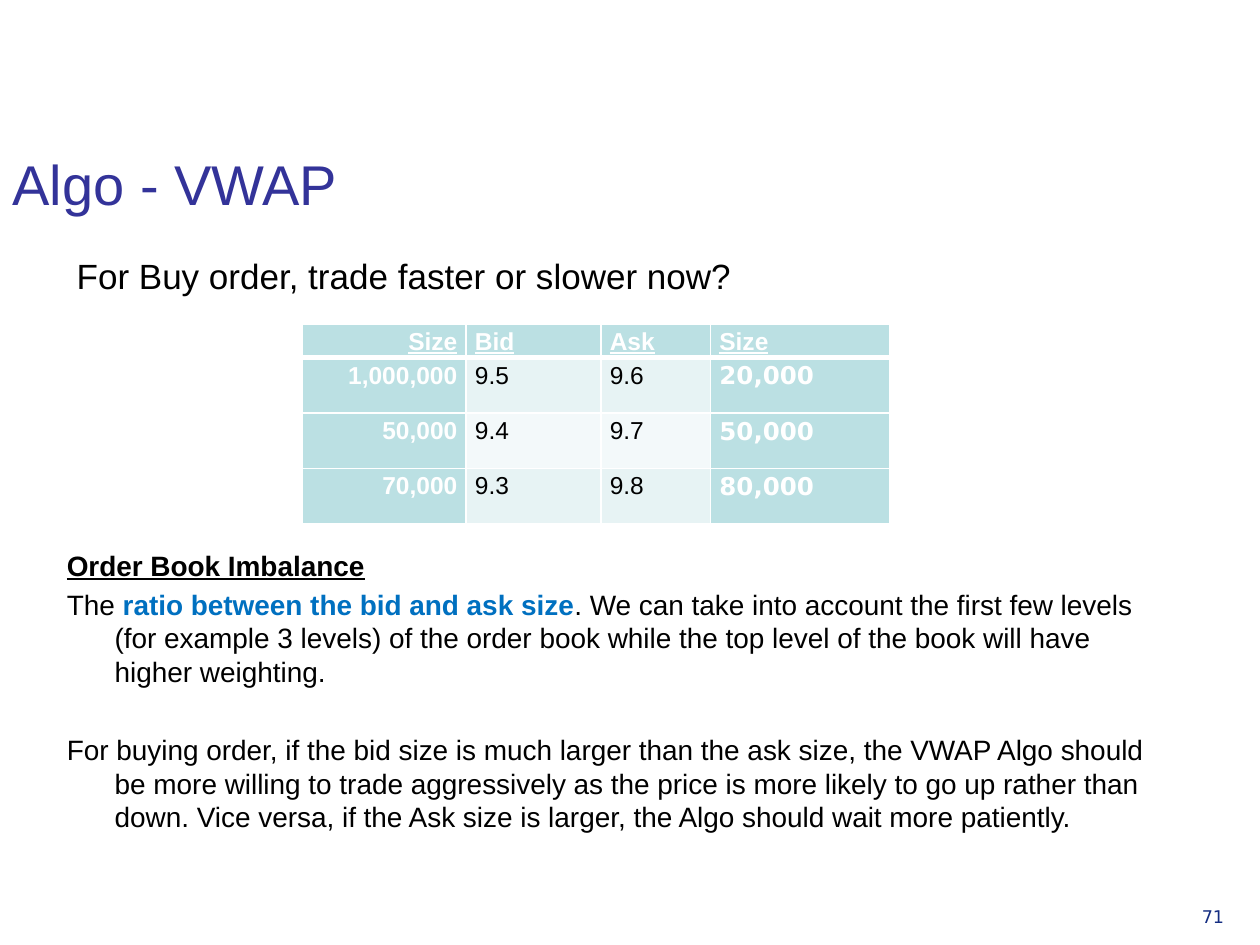
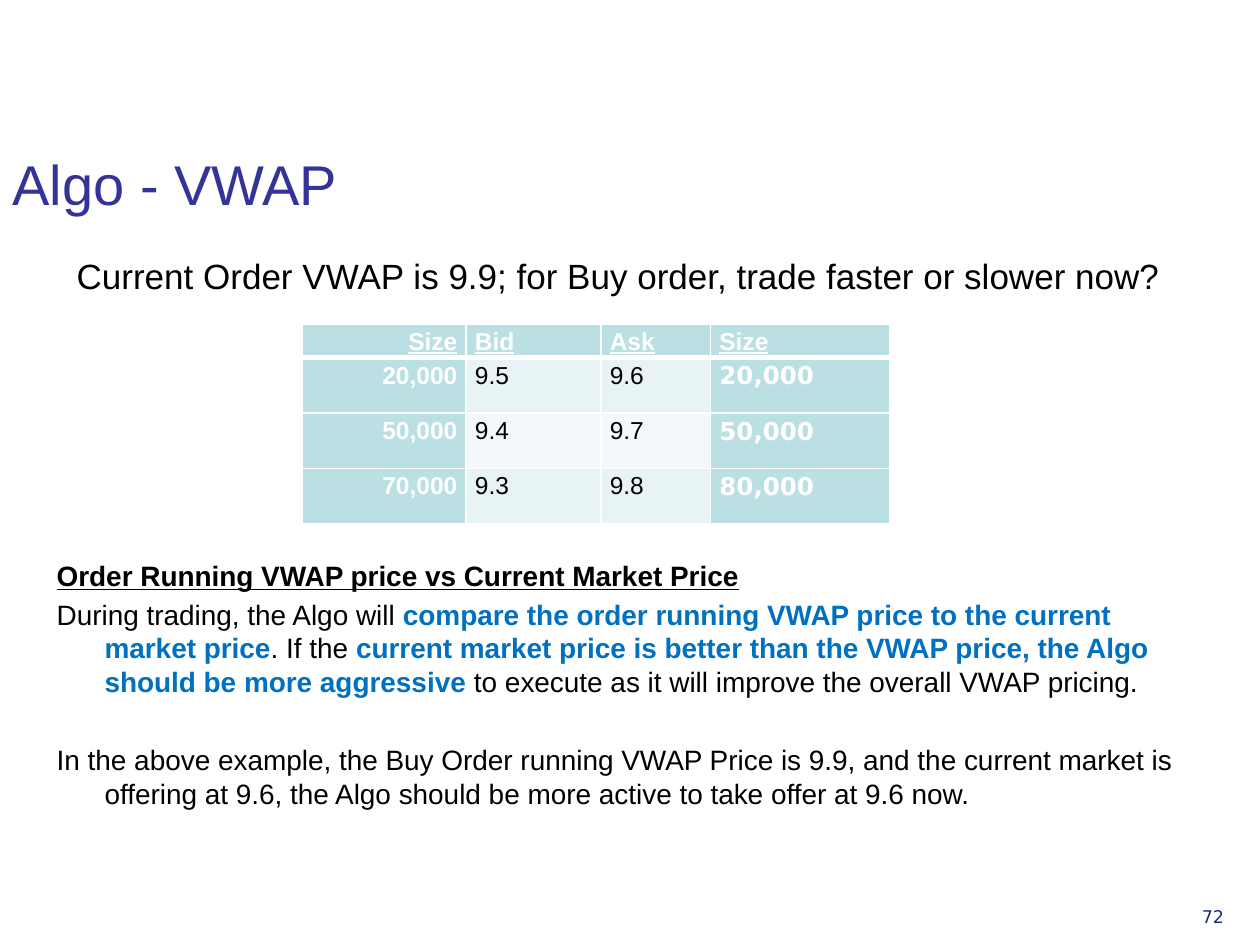
"""Build two slides on how a VWAP algo reacts to the order book."""
from lxml import etree
from pptx import Presentation
from pptx.dml.color import RGBColor
from pptx.enum.text import MSO_ANCHOR, MSO_AUTO_SIZE, PP_ALIGN
from pptx.oxml.ns import qn
from pptx.util import Inches, Pt

LEFT, RIGHT = PP_ALIGN.LEFT, PP_ALIGN.RIGHT
BOTTOM, TOP = MSO_ANCHOR.BOTTOM, MSO_ANCHOR.TOP
NO_FIT, GROW = MSO_AUTO_SIZE.NONE, MSO_AUTO_SIZE.SHAPE_TO_FIT_TEXT

BLACK = RGBColor(0x00, 0x00, 0x00)
WHITE = RGBColor(0xFF, 0xFF, 0xFF)
TITLE_BLUE = RGBColor(0x33, 0x33, 0x99)
NUMBER_BLUE = RGBColor(0x15, 0x2E, 0x82)
KEY_BLUE = RGBColor(0x00, 0x70, 0xC0)
TEAL = RGBColor(0xBB, 0xE0, 0xE3)
BANDS = (RGBColor(0xE7, 0xF3, 0xF4), RGBColor(0xF3, 0xF9, 0xFA))

TEXT_FONT, NUMBER_FONT = "Arial", "DejaVu Sans"
COLUMN_WIDTHS = (1.3, 1.07, 0.87, 1.42)
HEADER = ("Size", "Bid", "Ask", "Size")
LOWER_LEVELS = (("50,000", "9.4", "9.7", "50,000"),
                ("70,000", "9.3", "9.8", "80,000"))


def style_run(r, size, color, name=TEXT_FONT, bold=False, underline=False):
    """Format one run."""
    r.font.size, r.font.name = Pt(size), name
    r.font.bold, r.font.underline = bold, underline
    r.font.color.rgb = color


def place(sp, left, top, width, height):
    """Move and size a shape, in inches."""
    sp.left, sp.top = Inches(left), Inches(top)
    sp.width, sp.height = Inches(width), Inches(height)


def set_title(slide, text):
    """Fill the title placeholder."""
    sp = slide.shapes.title
    place(sp, 0, 0.68, 8.83, 1.09)
    tf = sp.text_frame
    tf.text = text
    tf.auto_size, tf.vertical_anchor = NO_FIT, BOTTOM
    p = tf.paragraphs[0]
    p.alignment = LEFT
    style_run(p.runs[0], 32, TITLE_BLUE)


def add_label(slide, text, box, size, color, name=TEXT_FONT):
    """Add a one-line text box."""
    sp = slide.shapes.add_textbox(*map(Inches, box))
    tf = sp.text_frame
    tf.text = text
    tf.word_wrap, tf.auto_size = False, GROW
    style_run(tf.paragraphs[0].runs[0], size, color, name)


def format_hanging(p, space_before):
    """Give a paragraph a hanging indent without a bullet."""
    pPr = p._p.get_or_add_pPr()
    pPr.set("marL", str(Inches(0.38)))
    pPr.set("indent", str(-Inches(0.38)))
    etree.SubElement(pPr, qn("a:buNone"))
    p.space_before = Pt(space_before)


def set_explanation(slide, box, heading, rule, example):
    """Fill the body; every second part of the rule is a key phrase."""
    sp = slide.placeholders[1]
    place(sp, *box)
    tf = sp.text_frame
    tf.auto_size, tf.vertical_anchor = NO_FIT, TOP
    p = tf.paragraphs[0]
    p.text = heading
    format_hanging(p, 0)
    style_run(p.runs[0], 16, BLACK, bold=True, underline=True)
    for parts, gap in ((rule, 3.2), ((example,), 25.5)):
        p = tf.add_paragraph()
        format_hanging(p, gap)
        for i, text in enumerate(parts):
            r = p.add_run()
            r.text = text
            is_key = i % 2 == 1
            style_run(r, 16, KEY_BLUE if is_key else BLACK, bold=is_key)


def add_border(cell, side, width):
    """Draw a white line on one side of a cell."""
    ln = etree.SubElement(cell._tc.get_or_add_tcPr(), qn(f"a:ln{side}"), w=str(Pt(width)))
    fill = etree.SubElement(ln, qn("a:solidFill"))
    etree.SubElement(fill, qn("a:srgbClr"), val=str(WHITE))


def format_cell(cell, row, col):
    """Format an order book cell by its place in the table."""
    is_header, is_size = row == 0, col in (0, 3)
    is_strong = is_header or is_size
    for side in "LRTB":
        thick = side == ("B" if is_header else "T") and row < 2
        add_border(cell, side, 3 if thick else 1)
    cell.fill.solid()
    cell.fill.fore_color.rgb = TEAL if is_strong else BANDS[(row - 1) % 2]
    cell.margin_left = cell.margin_right = Inches(0.07)
    cell.margin_top = cell.margin_bottom = 0
    p = cell.text_frame.paragraphs[0]
    p.alignment = RIGHT if col == 0 else LEFT
    p.line_spacing = 1.15
    style_run(p.runs[0], 14, WHITE if is_strong else BLACK,
              NUMBER_FONT if col == 3 and not is_header else TEXT_FONT,
              is_strong, is_header)


def add_order_book(slide, top_bid_size):
    """Add the bid and ask table."""
    rows = (HEADER, (top_bid_size, "9.5", "9.6", "20,000"), *LOWER_LEVELS)
    frame = slide.shapes.add_table(len(rows), len(HEADER), Inches(2.4),
                                   Inches(2.57), Inches(4.65), Inches(1.59))
    table = frame.table
    for column, width in zip(table.columns, COLUMN_WIDTHS):
        column.width = Inches(width)
    for i, values in enumerate(rows):
        table.rows[i].height = Inches(0.44 if i else 0.22)
        for j, text in enumerate(values):
            cell = table.cell(i, j)
            cell.text = text
            format_cell(cell, i, j)


def add_vwap_slide(prs, number, question, question_width, top_bid_size, *explanation):
    """Add a slide with a question, an order book and the answer."""
    slide = prs.slides.add_slide(prs.slide_layouts[1])
    add_label(slide, number, (9.44, 7.14, 0.55, 0.39), 10, NUMBER_BLUE, NUMBER_FONT)
    set_title(slide, "Algo - VWAP")
    set_explanation(slide, *explanation)
    add_order_book(slide, top_bid_size)
    add_label(slide, question, (0.51, 1.97, question_width, 0.44), 20, BLACK)


def main():
    """Build and save the presentation."""
    prs = Presentation()
    prs.slide_width, prs.slide_height = Inches(10), Inches(7.5)
    add_vwap_slide(
        prs, "71", "For Buy order, trade faster or slower now?", 5.51, "1,000,000",
        (0.43, 4.3, 9, 2.76), "Order Book Imbalance",
        ("The ", "ratio between the bid and ask size",
         ". We can take into account the first few levels (for example 3 levels) of the "
         "order book while the top level of the book will have higher weighting."),
        "For buying order, if the bid size is much larger than the ask size, the VWAP Algo "
        "should be more willing to trade aggressively as the price is more likely to go up "
        "rather than down. Vice versa, if the Ask size is larger, the Algo should wait more "
        "patiently.")
    add_vwap_slide(
        prs, "72", "Current Order VWAP is 9.9; for Buy order, trade faster or slower now?",
        9.01, "20,000",
        (0.35, 4.38, 9.21, 2.76), "Order Running VWAP price vs Current Market Price",
        ("During trading, the Algo will ",
         "compare the order running VWAP price to the current market price",
         ". If the ",
         "current market price is better than the VWAP price, the Algo should be more "
         "aggressive ",
         "to execute as it will improve the overall VWAP pricing."),
        "In the above example, the Buy Order running VWAP Price is 9.9, and the current "
        "market is offering at 9.6, the Algo should be more active to take offer at 9.6 now.")
    prs.save("out.pptx")


if __name__ == "__main__":
    main()
